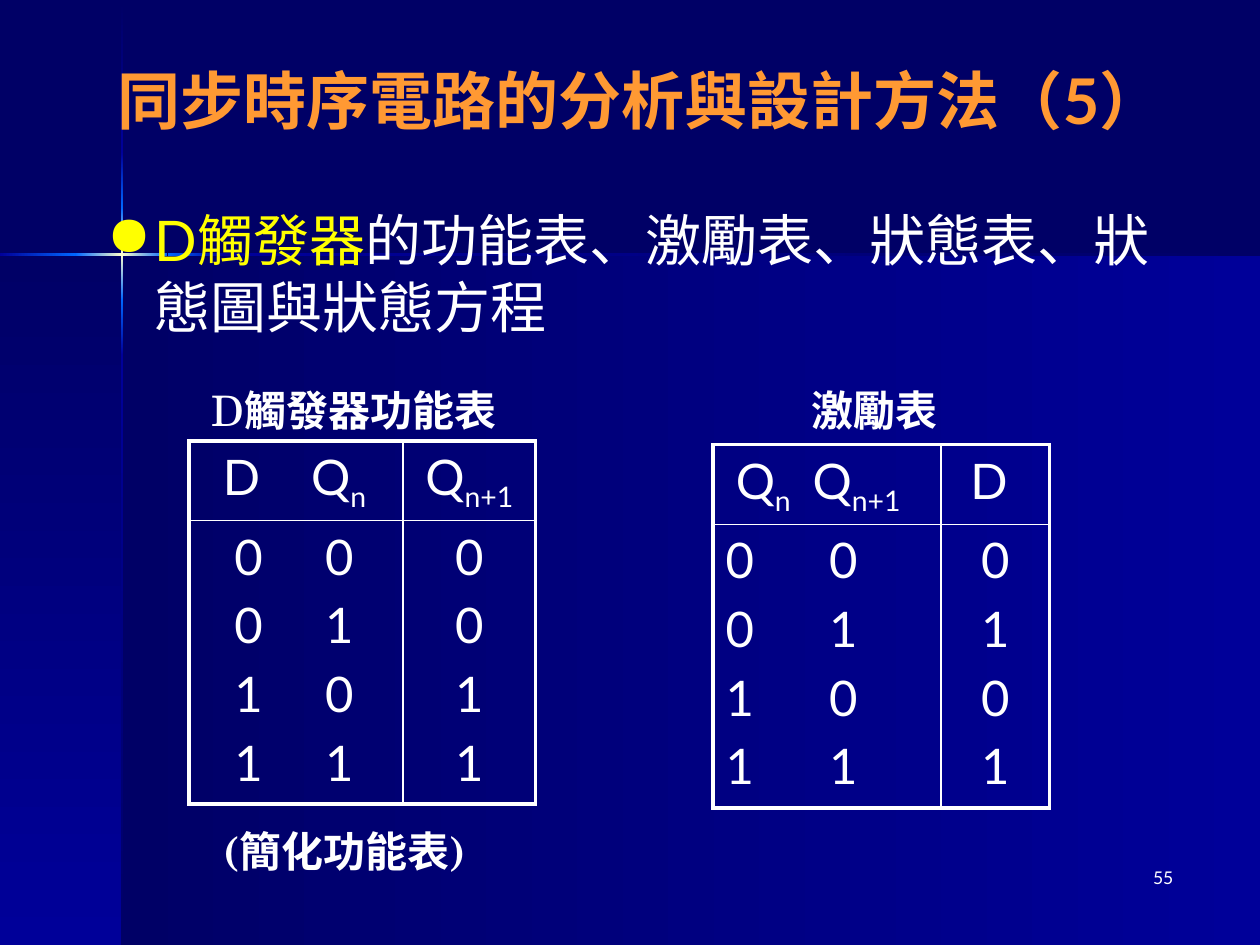
from copy import deepcopy
from dataclasses import dataclass

from lxml import etree
from pptx import Presentation
from pptx.dml.color import RGBColor
from pptx.enum.shapes import MSO_SHAPE
from pptx.enum.text import MSO_ANCHOR, MSO_AUTO_SIZE, PP_ALIGN
from pptx.oxml.ns import qn
from pptx.util import Inches, Pt

RECTANGLE = MSO_SHAPE.RECTANGLE
LEFT, CENTER, RIGHT = PP_ALIGN.LEFT, PP_ALIGN.CENTER, PP_ALIGN.RIGHT
TOP, MIDDLE = MSO_ANCHOR.TOP, MSO_ANCHOR.MIDDLE
GROW = MSO_AUTO_SIZE.SHAPE_TO_FIT_TEXT
SANS, SERIF = "Lato", "TeX Gyre Schola"
WHITE, YELLOW, ORANGE = "FFFFFF", "FFFF00", "FF9933"
DARK, NAVY, BLUE, GLOW = "000066", "000099", "0066FF", "FFFFCC"
ACROSS, DOWN = 0, 270
THICK, THIN = 2.25, 1


@dataclass
class Band:
    box: tuple[float, float, float, float]
    angle: int
    colors: tuple[str, ...]


@dataclass
class Piece:
    text: str
    color: str = WHITE
    bold: bool = False
    subscript: bool = False


@dataclass
class Label:
    box: tuple[float, float, float, float]
    pieces: list[Piece]
    size: float
    font: str = SANS
    align: PP_ALIGN = LEFT
    anchor: MSO_ANCHOR = TOP
    grow: bool = False


@dataclass
class Column:
    """One table column: header pieces, body lines, and its left inset and tab."""
    width: float
    header: list[Piece]
    lines: list[str]
    insets: tuple[float, float] = (0.1, 0.1)
    tabs: tuple[float, float] | None = None


@dataclass
class TruthTable:
    left: float
    top: float
    row_heights: tuple[float, float]
    columns: list[Column]


def rgb(color: str) -> RGBColor:
    return RGBColor.from_string(color)


def draw_band(slide, band: Band) -> None:
    shape = slide.shapes.add_shape(RECTANGLE, *map(Inches, band.box))
    shape.shadow.inherit = False
    shape.line.fill.background()
    shape.fill.gradient()
    shape.fill.gradient_angle = band.angle
    stop_list = shape._element.spPr.find(".//" + qn("a:gsLst"))
    for _ in band.colors[2:]:
        stop_list.append(deepcopy(stop_list[-1]))
    for index, (stop, color) in enumerate(zip(shape.fill.gradient_stops, band.colors)):
        stop.color.rgb = rgb(color)
        stop.position = index / (len(band.colors) - 1)


def write_pieces(paragraph, pieces: list[Piece], size: float, font: str) -> None:
    for piece in pieces:
        run = paragraph.add_run()
        run.text = piece.text
        run.font.name = font
        run.font.size = Pt(size)
        run.font.bold = piece.bold
        run.font.color.rgb = rgb(piece.color)
        if piece.subscript:
            run._r.get_or_add_rPr().set("baseline", "-25000")


def draw_label(slide, label: Label):
    shape = slide.shapes.add_textbox(*map(Inches, label.box))
    frame = shape.text_frame
    frame.word_wrap = True
    frame.vertical_anchor = label.anchor
    if label.grow:
        frame.auto_size = GROW
    paragraph = frame.paragraphs[0]
    paragraph.alignment = label.align
    write_pieces(paragraph, label.pieces, label.size, label.font)
    return paragraph


def add_bullet(paragraph, color: str, indent: float) -> None:
    properties = paragraph._p.get_or_add_pPr()
    properties.set("marL", str(Inches(indent)))
    properties.set("indent", str(-Inches(indent)))
    bullet_color = etree.SubElement(properties, qn("a:buClr"))
    etree.SubElement(bullet_color, qn("a:srgbClr"), val=color)
    etree.SubElement(properties, qn("a:buChar"), char="●")


def add_tab(paragraph, position: float) -> None:
    tab_list = etree.SubElement(paragraph._p.get_or_add_pPr(), qn("a:tabLst"))
    etree.SubElement(tab_list, qn("a:tab"), pos=str(Inches(position)), algn="l")


def set_borders(cell, widths: dict[str, float]) -> None:
    properties = cell._tc.get_or_add_tcPr()
    for index, (side, width) in enumerate(widths.items()):
        line = etree.Element(qn(f"a:ln{side}"), w=str(Pt(width)))
        fill = etree.SubElement(line, qn("a:solidFill"))
        etree.SubElement(fill, qn("a:srgbClr"), val=WHITE)
        properties.insert(index, line)


def draw_table(slide, spec_table: TruthTable) -> None:
    columns = spec_table.columns
    width = sum(column.width for column in columns)
    frame = slide.shapes.add_table(
        2, len(columns), Inches(spec_table.left), Inches(spec_table.top),
        Inches(width), Inches(sum(spec_table.row_heights)))
    table = frame.table
    table.first_row = table.horz_banding = False
    for row, height in zip(table.rows, spec_table.row_heights):
        row.height = Inches(height)
    for column_index, column in enumerate(columns):
        table.columns[column_index].width = Inches(column.width)
        contents = ([column.header], [[Piece(line)] for line in column.lines])
        for row_index, lines in enumerate(contents):
            cell = table.cell(row_index, column_index)
            cell.fill.background()
            cell.margin_left = Inches(column.insets[row_index])
            set_borders(cell, {
                "L": THICK if column_index == 0 else THIN,
                "R": THICK if column_index == len(columns) - 1 else THIN,
                "T": THICK if row_index == 0 else THIN,
                "B": THICK if row_index == 1 else THIN,
            })
            for line_index, pieces in enumerate(lines):
                text_frame = cell.text_frame
                paragraph = text_frame.add_paragraph() if line_index else text_frame.paragraphs[0]
                if line_index:
                    paragraph.space_before = Pt(5.6)
                paragraph.alignment = LEFT if column.tabs else CENTER
                if column.tabs:
                    add_tab(paragraph, column.tabs[row_index])
                write_pieces(paragraph, pieces, 28, SANS)


INPUTS = ["0\t0", "0\t1", "1\t0", "1\t1"]
NOW, NEXT = Piece("n", subscript=True), Piece("n+1", subscript=True)

# Backdrop panels, then the glowing cross
BANDS = [
    Band((0.97, 2.02, 9.03, 5.48), ACROSS, (DARK, NAVY)),
    Band((0, 2.02, 0.97, 5.48), DOWN, (DARK, NAVY)),
    Band((0.96, 0.01, 0.02, 1.2), DOWN, (DARK, NAVY)),
    Band((0.96, 2.82, 0.02, 4.68), DOWN, (NAVY, DARK)),
    Band((1.77, 2.01, 8.23, 0.02), ACROSS, (NAVY, DARK)),
    Band((0.96, 2.38, 0.02, 0.44), DOWN, (BLUE, NAVY)),
    Band((0.96, 1.21, 0.02, 0.44), DOWN, (NAVY, BLUE)),
    Band((0.96, 1.65, 0.02, 0.73), DOWN, (BLUE, GLOW, BLUE)),
    Band((0, 2.01, 0.6, 0.02), ACROSS, (NAVY, BLUE)),
    Band((1.33, 2.01, 0.44, 0.02), ACROSS, (BLUE, NAVY)),
    Band((0.6, 2.01, 0.73, 0.02), ACROSS, (BLUE, GLOW, BLUE)),
]

TITLE = Label((0.33, 0.33, 9.5, 0.92), [Piece("同步時序電路的分析與設計方法（5）", ORANGE, True)],
              36, align=CENTER, anchor=MIDDLE)
BODY = Label((0.75, 1.58, 8.67, 5.08),
             [Piece("D觸發器", YELLOW), Piece("的功能表、激勵表、狀態表、狀態圖與狀態方程")], 32)
LABELS = [
    Label((7.33, 6.83, 2.08, 0.5), [Piece("55")], 10, align=RIGHT),
    Label((1.58, 3, 2.58, 0.5), [Piece("D"), Piece("觸發器功能表", bold=True)], 24, SERIF, grow=True),
    Label((1.58, 6.5, 2.28, 0.5), [Piece(" (簡化功能表)", bold=True)], 24, SERIF, grow=True),
    Label((6.34, 3, 1.49, 0.5), [Piece("激勵表", bold=True)], 24, SERIF, grow=True),
]
TABLES = [
    TruthTable(1.5, 3.5, (0.61, 2.25), [
        Column(1.7, [Piece("D\tQ"), NOW], INPUTS, (0.27, 0.36), (0.7, 0.72)),
        Column(1.05, [Piece("Q"), NEXT], list("0011")),
    ]),
    TruthTable(5.66, 3.53, (0.63, 2.25), [
        Column(1.81, [Piece("Q"), NOW, Piece("\tQ"), NEXT], INPUTS, (0.18, 0.1), (0.61, 0.82)),
        Column(0.86, [Piece("D ")], list("0101")),
    ]),
]


def main() -> None:
    presentation = Presentation()
    presentation.slide_width, presentation.slide_height = Inches(10), Inches(7.5)
    slide = presentation.slides.add_slide(presentation.slide_layouts[6])
    slide.background.fill.solid()
    slide.background.fill.fore_color.rgb = rgb(DARK)
    for band in BANDS:
        draw_band(slide, band)
    draw_label(slide, TITLE)
    add_bullet(draw_label(slide, BODY), YELLOW, 0.38)
    for label in LABELS:
        draw_label(slide, label)
    for table in TABLES:
        draw_table(slide, table)
    presentation.save("out.pptx")


if __name__ == "__main__":
    main()
